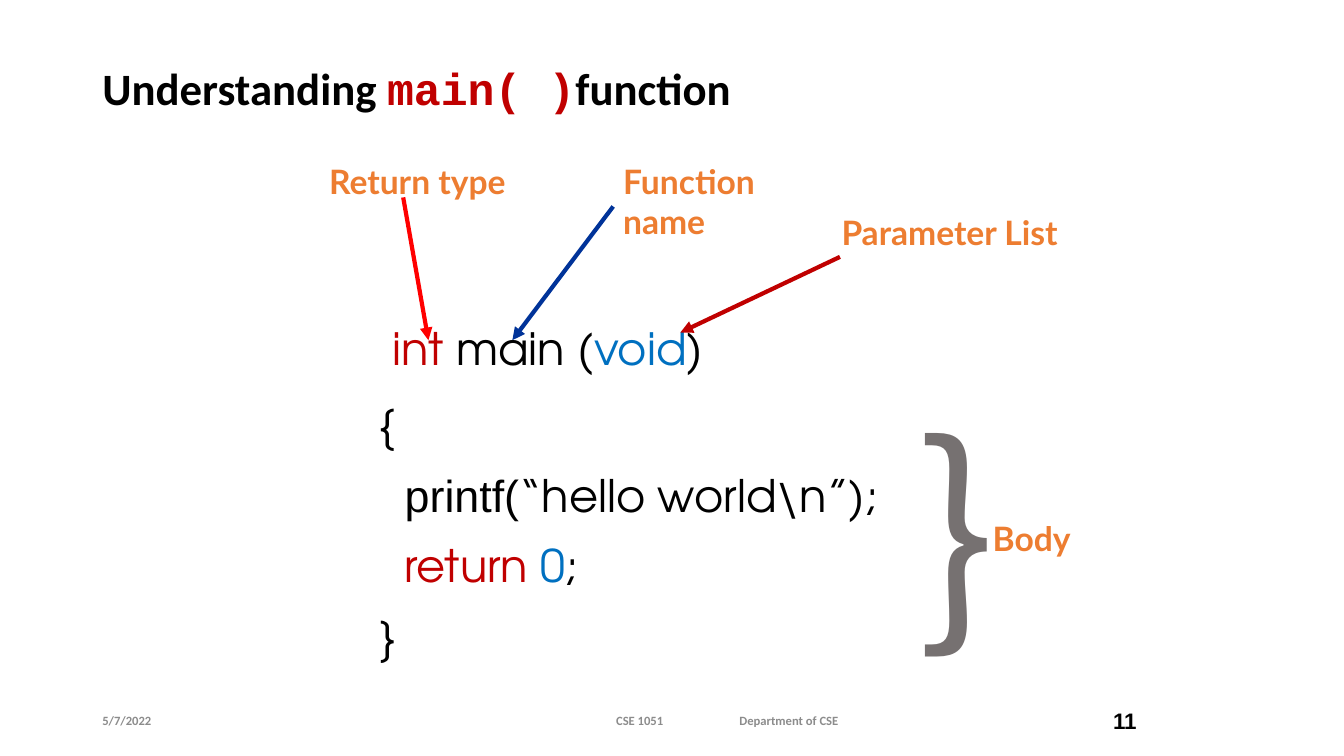
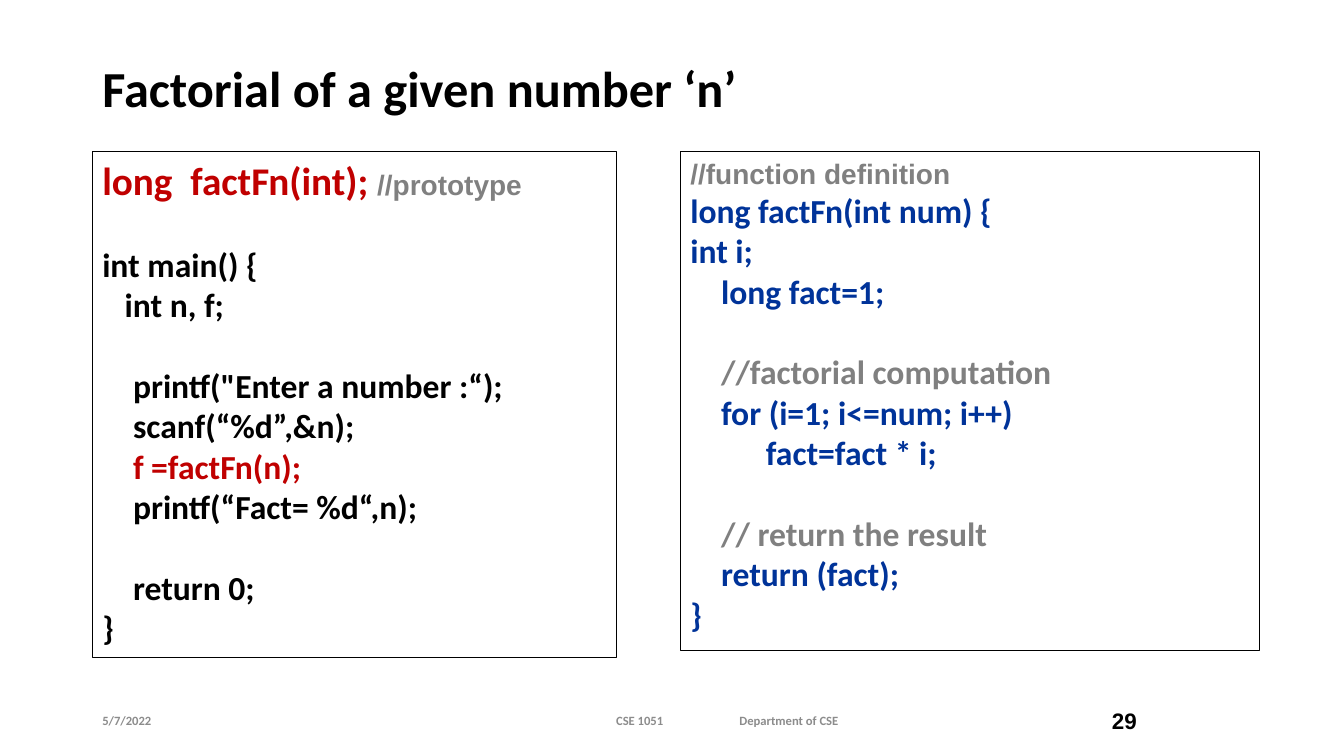
from lxml import etree
from pptx import Presentation
from pptx.dml.color import RGBColor
from pptx.enum.shapes import MSO_CONNECTOR, MSO_SHAPE
from pptx.enum.text import MSO_ANCHOR, PP_ALIGN
from pptx.oxml.ns import qn
from pptx.util import Pt

STRAIGHT = MSO_CONNECTOR.STRAIGHT
RECTANGLE = MSO_SHAPE.RECTANGLE
TOP, MIDDLE = MSO_ANCHOR.TOP, MSO_ANCHOR.MIDDLE
LEFT, RIGHT = PP_ALIGN.LEFT, PP_ALIGN.RIGHT

COLORS = {
    "black": "000000", "crimson": "C00000", "red": "FF0000",
    "navy": "003399", "blue": "0070C0", "orange": "ED7D31",
    "comment": "808080", "footer": "8C8C8C", "brace": "767171",
}
BODY, MONO, SANS = "Calibri", "Courier New", "Arial"
LABEL, ROUND, BRACE = "Lato", "TeX Gyre Adventor", "Noto Sans CJK JP"
BLANK_LINE = 29


def write(frame, lines, font, size, bold=True, anchor=TOP, align=LEFT):
    """Fill a frame with lines of (indent, space before, spans).

    A span is (text, color) with an optional font and size of its own.
    """
    frame.word_wrap = True
    frame.vertical_anchor = anchor
    for number, (indent, before, spans) in enumerate(lines):
        para = frame.paragraphs[0] if number == 0 else frame.add_paragraph()
        para.alignment = align
        para.space_before = Pt(before)
        if indent:
            para._p.get_or_add_pPr().set("marL", str(Pt(indent)))
        for text, color, *own in spans:
            span = para.add_run()
            span.text = text
            span.font.name = own[0] if own else font
            span.font.size = Pt(own[1] if len(own) > 1 else size)
            span.font.bold = bold
            span.font.color.rgb = RGBColor.from_string(COLORS[color])


def add_text(page, place, lines, font, size, **style):
    box = page.shapes.add_textbox(*map(Pt, place))
    write(box.text_frame, lines, font, size, **style)
    return box


deck = Presentation()
deck.slide_width, deck.slide_height = Pt(960), Pt(540)

# Title and footer of every page
titles = [
    (32, "11", [("Understanding ", "black"), ("main( )", "crimson", MONO),
                ("function", "black")]),
    (36, "29", [("Factorial of a given number ‘n’", "black")]),
]
footers = [(66, 91, "5/7/2022"), (433, 70, "CSE 1051"),
           (521, 120, "Department of CSE")]
pages = []
for size, number, title in titles:
    page = deck.slides.add_slide(deck.slide_layouts[6])
    heading = add_text(page, (66, 40, 865, 50), [(0, 0, title)], BODY, size,
                       anchor=MIDDLE)
    heading.text_frame.paragraphs[0].line_spacing = 0.9
    for left, width, text in footers:
        add_text(page, (left, 500, width, 29), [(0, 0, [(text, "footer")])],
                 BODY, 9, anchor=MIDDLE)
    add_text(page, (769, 500, 50, 29), [(0, 0, [(number, "black")])],
             SANS, 16, anchor=MIDDLE, align=RIGHT)
    pages.append(page)
anatomy, factorial = pages

# Page 1: the parts of main()
main_code = [
    (9, 0, [("int", "crimson"), (" main (", "black"), ("void", "blue"),
            (")", "black")]),
    (0, 16, [("{", "black")]),
    (18, 12, [("printf(", "black", SANS), ("“hello world\\n”);", "black")]),
    (18, 12, [("return ", "crimson"), ("0", "blue"), (";", "black")]),
    (0, 12, [("}", "black")]),
]
add_text(anatomy, (264, 225.5, 408, 258), main_code, ROUND, 32, bold=False)

labels = [
    ("Return type", (228, 111.5, 186, 37)),
    ("Function name", (438, 111.5, 162, 66)),
    ("Parameter List", (594, 147.5, 198, 37)),
    ("Body", (702, 366.5, 120, 37)),
]
for text, place in labels:
    add_text(anatomy, place, [(0, 0, [(text, "orange")])], LABEL, 24)

arrows = [
    ("red", (288, 141, 306, 243)),
    ("navy", (438, 147.5, 366, 243)),
    ("crimson", (600, 183.5, 486, 237.5)),
]
for color, ends in arrows:
    arrow = anatomy.shapes.add_connector(STRAIGHT, *map(Pt, ends))
    arrow.line.width = Pt(3)
    arrow.line.color.rgb = RGBColor.from_string(COLORS[color])
    etree.SubElement(arrow.line._get_or_add_ln(), qn("a:tailEnd"),
                     type="triangle")
    etree.SubElement(arrow._element.spPr, qn("a:effectLst"))

add_text(anatomy, (648, 271.5, 66, 208), [(0, 0, [("}", "brace")])],
         BRACE, 166, bold=False)

# Page 2: calling code beside the function it calls
caller = [
    (0, 0, [("long  factFn(int); ", "crimson", BODY, 28),
            ("//prototype", "comment", SANS, 20)]),
    (0, BLANK_LINE, [("int main() {", "black")]),
    (16, 0, [("int n, f;", "black")]),
    (22, BLANK_LINE, [("printf(\"Enter a number :“);", "black")]),
    (22, 0, [("scanf(“%d”,&n);", "black")]),
    (22, 0, [("f =factFn(n);", "crimson")]),
    (22, 0, [("printf(“Fact= %d“,n);", "black")]),
    (22, BLANK_LINE, [("return 0;", "black")]),
    (0, 0, [("}", "black")]),
]
definition = [
    (0, 0, [("//function definition", "comment", SANS, 20)]),
    (0, 0, [("long factFn(int num) {", "navy")]),
    (0, 0, [("int i;", "navy")]),
    (22, 0, [("long fact=1;", "navy")]),
    (22, BLANK_LINE, [("//factorial computation", "comment")]),
    (22, 0, [("for (i=1; i<=num; i++)", "navy")]),
    (54, 0, [("fact=fact * i;", "navy")]),
    (22, BLANK_LINE, [("// return the result", "comment")]),
    (22, 0, [("return (fact);", "navy")]),
    (0, 0, [("}", "navy")]),
]
panels = [((66, 108, 374.5, 361.5), caller), ((486, 108, 414, 356.5), definition)]
for place, lines in panels:
    panel = factorial.shapes.add_shape(RECTANGLE, *map(Pt, place))
    panel.shadow.inherit = False
    panel.fill.background()
    panel.line.width = Pt(0.75)
    panel.line.color.rgb = RGBColor.from_string(COLORS["black"])
    write(panel.text_frame, lines, BODY, 24)

deck.save("out.pptx")
